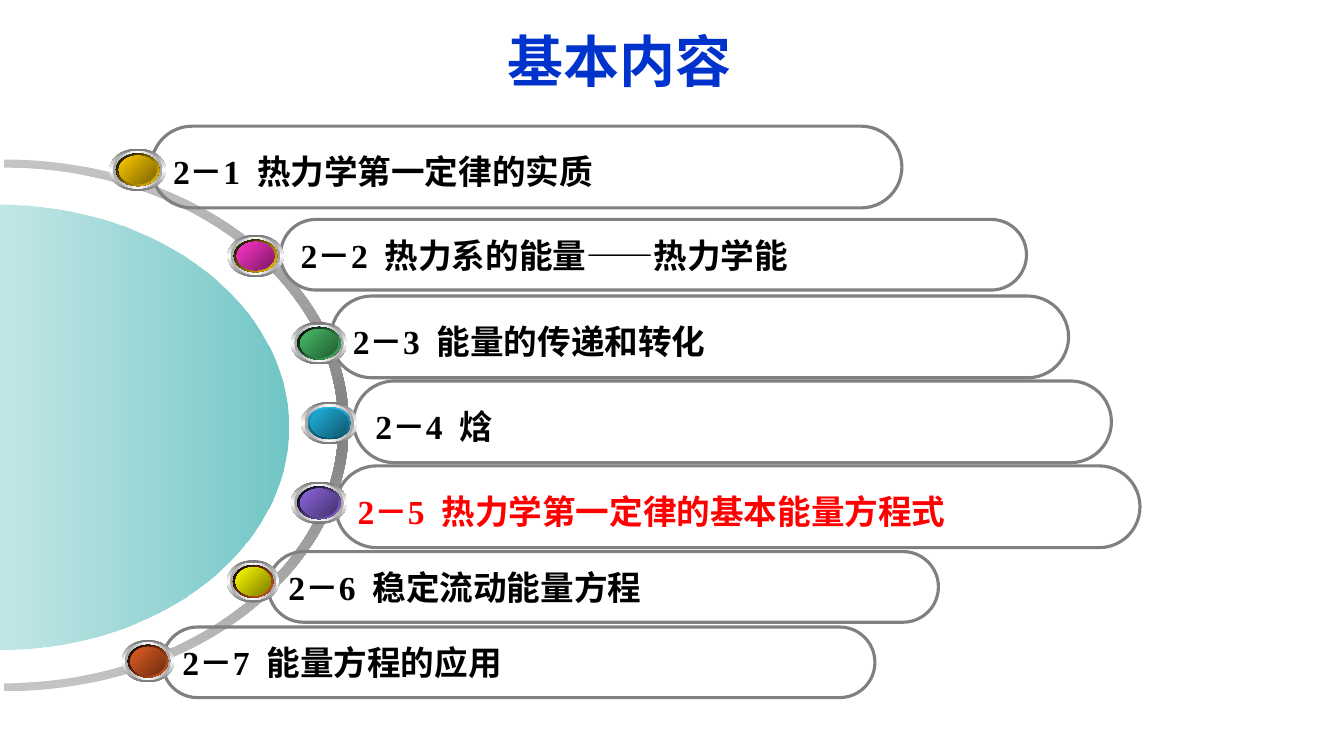
from dataclasses import dataclass

from lxml.etree import SubElement
from pptx import Presentation
from pptx.dml.color import RGBColor
from pptx.enum.shapes import MSO_SHAPE
from pptx.enum.text import MSO_ANCHOR, MSO_AUTO_SIZE, PP_ALIGN
from pptx.oxml import parse_xml
from pptx.oxml.ns import nsdecls, qn
from pptx.util import Cm, Pt

BLACK = "000000"
RED = "FF0000"
GREY = "808080"
TITLE_BLUE = "0033CC"
BUTTON_HEIGHT = 1.07
CURVE = 0.55  # handle length of a quarter ellipse, as a share of its radius


@dataclass(frozen=True)
class Gradient:
    """Evenly spaced colours, an angle in degrees and opacities in percent."""
    colours: tuple
    angle: int = 45
    opacities: tuple = (100, 100, 100)


@dataclass(frozen=True)
class Section:
    """One chapter entry: its pill and the button beside it, in cm."""
    text: str
    left: float
    top: float
    width: float
    height: float
    button_x: float
    button_y: float
    button_width: float
    rim: Gradient
    core: Gradient
    colour: str = BLACK
    line_spacing: float = 1.0


OUTER_RING = Gradient(("767676", "FFFFFF", "767676"), 90)
INNER_RING = Gradient(("A2A2A2", "FFFFFF", "A2A2A2"), 0)

SECTIONS = [
    Section("2－1  热力学第一定律的实质", 3.81, 3.18, 18.92, 2.06, 3.47, 4.28, 1.42,
            Gradient((BLACK, "FFCC00")), Gradient(("FFCC00", "7C6300")), line_spacing=1.2),
    Section("2－2  热力系的能量——热力学能", 7.07, 5.53, 18.8, 1.78, 6.44, 6.45, 1.42,
            Gradient((BLACK, "FFCC00")), Gradient(("FF33CC", "7C1963"))),
    Section("2－3  能量的传递和转化", 8.34, 7.46, 18.59, 2.06, 8.04, 8.65, 1.42,
            Gradient((BLACK, "48BE67")), Gradient(("48BE67", "235C32")), line_spacing=1.2),
    Section("2－4  焓", 8.91, 9.6, 19.1, 2.06, 8.3, 10.66, 1.42,
            Gradient(("21B3E1", "0F5368"), 90), Gradient(("21B3E1", "10576D")),
            line_spacing=1.2),
    Section("2－5  热力学第一定律的基本能量方程式", 8.46, 11.74, 20.27, 2.06, 8.04, 12.67, 1.42,
            Gradient((BLACK, "8D67E1")), Gradient(("8D67E1", "45326D")),
            colour=RED, line_spacing=1.2),
    Section("2－6  稳定流动能量方程", 6.76, 13.9, 16.89, 1.78, 6.38, 14.65, 1.32,
            Gradient((BLACK, "E35E23")), Gradient(("FFFF00", "7C7C00"))),
    Section("2－7  能量方程的应用", 4.09, 15.8, 17.96, 1.78, 3.73, 16.66, 1.32,
            Gradient((BLACK, "E35E23")), Gradient(("E35E23", "6E2E11"))),
]


def colour_of(value: str) -> RGBColor:
    """Turn a hex string into a colour."""
    return RGBColor.from_string(value)


def fill_gradient(shape, gradient: Gradient) -> None:
    """Give a shape a linear gradient, no outline and no shadow."""
    last = len(gradient.colours) - 1
    stops = "".join(
        f'<a:gs pos="{index * 100000 // last}"><a:srgbClr val="{colour}">'
        f'<a:alpha val="{opacity * 1000}"/></a:srgbClr></a:gs>'
        for index, (colour, opacity) in enumerate(zip(gradient.colours, gradient.opacities)))
    shape.shadow.inherit = False
    shape.line.fill.background()
    shape.fill.background()
    properties = shape._element.spPr
    properties.replace(properties.find(qn("a:noFill")), parse_xml(
        f'<a:gradFill {nsdecls("a")} rotWithShape="1"><a:gsLst>{stops}</a:gsLst>'
        f'<a:lin ang="{gradient.angle * 60000}" scaled="0"/></a:gradFill>'))


def right_half(x: float, y: float, radius_x: float, radius_y: float) -> list:
    """Return the start and the curve points of a right half ellipse, downwards."""
    steps = [(0, -1), (CURVE, -1), (1, -CURVE), (1, 0), (1, CURVE), (CURVE, 1), (0, 1)]
    return [(Cm(x + radius_x * across), Cm(y + radius_y * down)) for across, down in steps]


def add_curved_outline(page, edges: list, gradient: Gradient) -> None:
    """Draw a closed outline whose edges are half ellipses joined by lines."""
    points = [point for edge in edges for point in edge]
    builder = page.shapes.build_freeform(*points[0])
    builder.add_line_segments(points[1:], close=True)
    shape = builder.convert_to_shape()
    segments = list(shape._element.spPr.find(".//" + qn("a:path")))
    for first in range(0, len(points), len(edges[0])):
        for start in (first + 1, first + 4):
            curve = SubElement(segments[0].getparent(), qn("a:cubicBezTo"))
            segments[start].addprevious(curve)
            for segment in segments[start:start + 3]:
                curve.append(segment[0])
                segment.getparent().remove(segment)
    fill_gradient(shape, gradient)


def add_span(para, text: str, font: str, size: int, colour: str) -> None:
    """Add one bold run to a paragraph."""
    span = para.add_run()
    span.text = text
    span.font.name = font
    span.font.size = Pt(size)
    span.font.bold = True
    span.font.color.rgb = colour_of(colour)


def add_pill(page, section: Section) -> None:
    """Draw the rounded outline with the section heading."""
    pill = page.shapes.add_shape(MSO_SHAPE.ROUNDED_RECTANGLE, Cm(section.left), Cm(section.top),
                                 Cm(section.width), Cm(section.height))
    pill.adjustments[0] = 0.5
    pill.shadow.inherit = False
    pill.fill.background()
    pill.line.color.rgb = colour_of(GREY)
    pill.line.width = Pt(2.25)
    frame = pill.text_frame
    frame.word_wrap = True
    frame.vertical_anchor = MSO_ANCHOR.MIDDLE
    para = frame.paragraphs[0]
    para.alignment = PP_ALIGN.LEFT
    para.line_spacing = section.line_spacing
    add_span(para, section.text, "Times New Roman", 24, section.colour)


def add_button(page, section: Section) -> None:
    """Draw a round button as a group of concentric ellipses."""
    button = page.shapes.add_group_shape()
    layers = [(1, OUTER_RING), (0.88, INNER_RING), (0.77, section.rim), (0.67, section.core)]
    for scale, gradient in layers:
        width, height = section.button_width * scale, BUTTON_HEIGHT * scale
        ellipse = button.shapes.add_shape(
            MSO_SHAPE.OVAL, Cm(section.button_x - width / 2), Cm(section.button_y - height / 2),
            Cm(width), Cm(height))
        fill_gradient(ellipse, gradient)


def format_title(page) -> None:
    """Place and fill the title placeholder."""
    title = page.shapes.title
    title.left, title.top, title.width, title.height = Cm(4.7), Cm(0.53), Cm(21.84), Cm(1.96)
    frame = title.text_frame
    frame.word_wrap = True
    frame.auto_size = MSO_AUTO_SIZE.NONE
    frame.vertical_anchor = MSO_ANCHOR.BOTTOM
    para = frame.paragraphs[0]
    para.alignment = PP_ALIGN.CENTER
    add_span(para, "基本内容", "Arial", 40, TITLE_BLUE)


deck = Presentation()
deck.slide_width, deck.slide_height = Cm(33.87), Cm(19.05)
page = deck.slides.add_slide(deck.slide_layouts[5])
format_title(page)

outer_edge = right_half(0.1, 10.72, 8.69, 6.7)
inner_edge = right_half(0.1, 10.72, 8.43, 6.5)
add_curved_outline(page, [outer_edge, inner_edge[::-1]],
                   Gradient(("C4C4C4", GREY, "C4C4C4"), 90))
add_curved_outline(page, [right_half(0, 10.76, 7.26, 5.6)],
                   Gradient(("80CCCC", "009999"), 0, (48, 56)))

for section in SECTIONS:
    add_pill(page, section)
    add_button(page, section)

deck.save("out.pptx")
